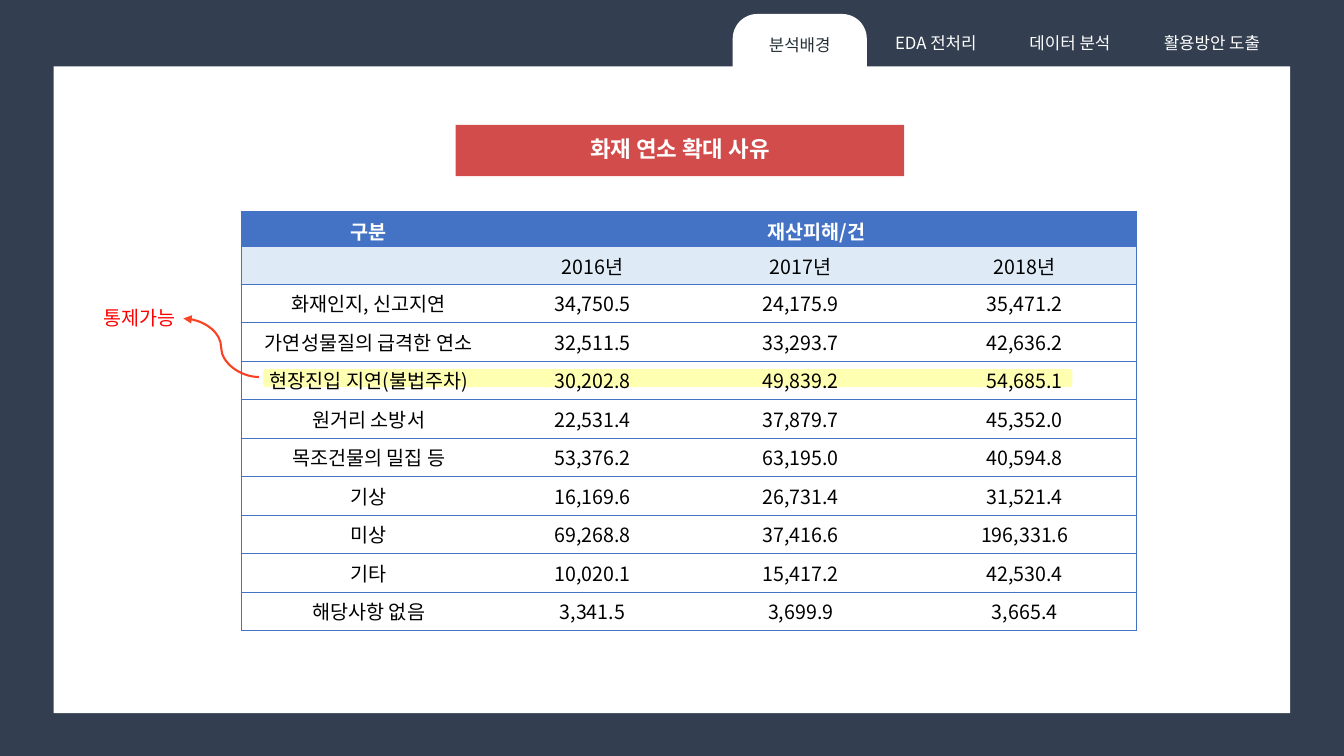
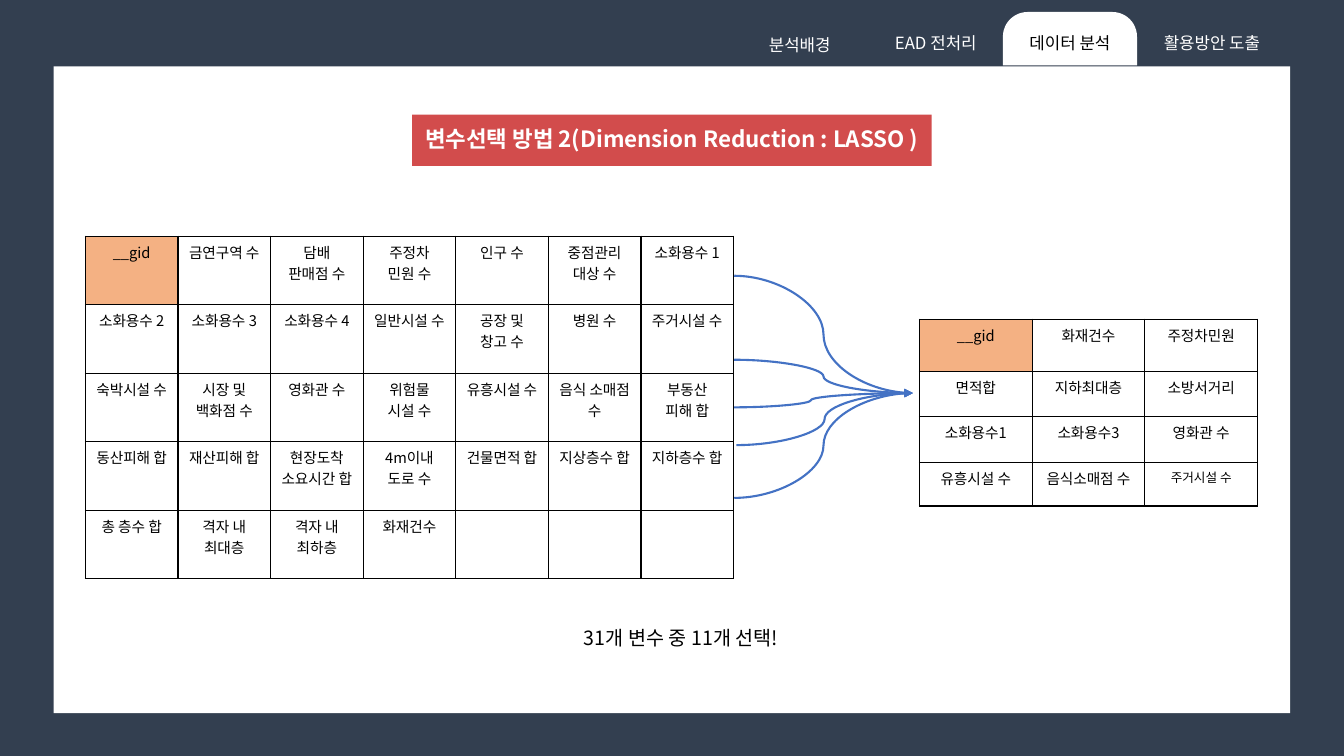
from lxml import etree
from pptx import Presentation
from pptx.dml.color import RGBColor
from pptx.enum.shapes import MSO_CONNECTOR, MSO_SHAPE
from pptx.enum.text import MSO_ANCHOR, PP_ALIGN
from pptx.oxml.ns import qn
from pptx.util import Pt

RECT = MSO_SHAPE.RECTANGLE
ROUND = MSO_SHAPE.ROUNDED_RECTANGLE
TAB = MSO_SHAPE.ROUND_2_SAME_RECTANGLE
CURVE = MSO_CONNECTOR.CURVE
CENTER, LEFT = PP_ALIGN.CENTER, PP_ALIGN.LEFT
MIDDLE = MSO_ANCHOR.MIDDLE

NO_STYLE = "{2D5ABB26-0587-4C30-8999-92F81FD0307C}"
TAB_BOXES = [(523.4, 10, 95.8), (620.6, 8.6, 95.8), (716.4, 8.6, 95.8), (811.4, 8.6, 108.7)]

CAUSES = [
    ["구분", "재산피해/건", "", ""],
    ["", "2016년", "2017년", "2018년"],
    ["화재인지, 신고지연", "34,750.5", "24,175.9", "35,471.2"],
    ["가연성물질의 급격한 연소", "32,511.5", "33,293.7", "42,636.2"],
    ["현장진입 지연(불법주차)", "30,202.8", "49,839.2", "54,685.1"],
    ["원거리 소방서", "22,531.4", "37,879.7", "45,352.0"],
    ["목조건물의 밀집 등", "53,376.2", "63,195.0", "40,594.8"],
    ["기상", "16,169.6", "26,731.4", "31,521.4"],
    ["미상", "69,268.8", "37,416.6", "196,331.6"],
    ["기타", "10,020.1", "15,417.2", "42,530.4"],
    ["해당사항 없음", "3,341.5", "3,699.9", "3,665.4"],
]
VARIABLES = [
    ["__gid", "금연구역 수", "담배\n판매점 수", "주정차\n민원 수", "인구 수", "중점관리\n대상 수", "소화용수 1"],
    ["소화용수 2", "소화용수 3", "소화용수 4", "일반시설 수", "공장 및\n창고 수", "병원 수", "주거시설 수"],
    ["숙박시설 수", "시장 및\n백화점 수", "영화관 수", "위험물\n시설 수", "유흥시설 수", "음식 소매점 수", "부동산\n피해 합"],
    ["동산피해 합", "재산피해 합", "현장도착\n소요시간 합", "4m이내\n도로 수", "건물면적 합", "지상층수 합", "지하층수 합"],
    ["총 층수 합", "격자 내\n최대층", "격자 내\n최하층", "화재건수", "", "", ""],
]
SELECTED = [
    ["__gid", "화재건수", "주정차민원"],
    ["면적합", "지하최대층", "소방서거리"],
    ["소화용수1", "소화용수3", "영화관 수"],
    ["유흥시설 수", "음식소매점 수", "주거시설 수"],
]


def rgb(hex_color):
    return RGBColor.from_string(hex_color)


class Deck:
    FONT = "Noto Sans CJK KR"
    NAVY, WHITE, BLACK = "333F50", "FFFFFF", "000000"
    BLUE, PALE, ORANGE = "4472C4", "DEEBF7", "F4B183"
    RED, YELLOW = "C00000", "FFFF00"

    def __init__(self):
        self.prs = Presentation()
        self.prs.slide_width, self.prs.slide_height = Pt(960), Pt(540)
        self.s = None

    def slide(self):
        self.s = self.prs.slides.add_slide(self.prs.slide_layouts[6])
        fill = self.s.background.fill
        fill.solid()
        fill.fore_color.rgb = rgb(self.NAVY)
        self.shape(RECT, 38.3, 47.5, 883.3, 462, self.WHITE)

    def put_text(self, tf, text, size, color, bold=False, align=CENTER, spacing=None):
        for i, line in enumerate(text.split("\n")):
            p = tf.add_paragraph() if i else tf.paragraphs[0]
            p.alignment = align
            if spacing:
                p.line_spacing = spacing
            r = p.add_run()
            r.text = line
            f = r.font
            f.name, f.size, f.bold = self.FONT, Pt(size), bold
            f.color.rgb = rgb(color)
            etree.SubElement(r._r.get_or_add_rPr(), qn("a:ea"), typeface=self.FONT)

    def shape(self, kind, x, y, w, h, fill=None, opacity=100):
        sp = self.s.shapes.add_shape(kind, Pt(x), Pt(y), Pt(w), Pt(h))
        sp.shadow.inherit = False
        sp.line.fill.background()
        if fill:
            sp.fill.solid()
            sp.fill.fore_color.rgb = rgb(fill)
            if opacity < 100:
                clr = sp._element.spPr.find(qn("a:solidFill")).find(qn("a:srgbClr"))
                etree.SubElement(clr, qn("a:alpha"), val=str(opacity * 1000))
        else:
            sp.fill.background()
        sp.text_frame.word_wrap = True
        sp.text_frame.vertical_anchor = MIDDLE
        return sp

    def title(self, text, x, y, w):
        sp = self.shape(RECT, x, y, w, 36.7, self.RED, 70)
        self.put_text(sp.text_frame, text, 16, self.WHITE, bold=True, spacing=0.9)

    def tabs(self, names, active, active_color):
        for i, (name, (x, y, w)) in enumerate(zip(names, TAB_BOXES)):
            on = i == active
            sp = self.shape(TAB, x, y, w, 38.2, self.WHITE if on else None)
            sp.adjustments[0] = 0.46
            sp.adjustments[1] = 0
            self.put_text(sp.text_frame, name, 12, active_color if on else self.WHITE)

    def text(self, text, x, y, w, color, align=CENTER):
        sp = self.s.shapes.add_textbox(Pt(x), Pt(y), Pt(w), Pt(24.5))
        sp.text_frame.word_wrap = True
        self.put_text(sp.text_frame, text, 14, color, align=align)

    def arrow(self, x1, y1, x2, y2, color, bend=0.5):
        cn = self.s.shapes.add_connector(CURVE, Pt(x1), Pt(y1), Pt(x2), Pt(y2))
        cn.line.color.rgb = rgb(color)
        cn.line.width = Pt(1.5)
        sp_pr = cn._element.spPr
        etree.SubElement(sp_pr.find(qn("a:ln")), qn("a:tailEnd"), type="triangle")
        etree.SubElement(sp_pr, qn("a:effectLst"))
        guides = sp_pr.find(qn("a:prstGeom")).find(qn("a:avLst"))
        etree.SubElement(guides, qn("a:gd"), name="adj1", fmla=f"val {round(bend * 100000)}")

    def border(self, cell, sides, color, width):
        tc_pr = cell._tc.get_or_add_tcPr()
        for side in sides:
            ln = etree.SubElement(tc_pr, qn("a:ln" + side), w=str(Pt(width)))
            fill = etree.SubElement(ln, qn("a:solidFill"))
            etree.SubElement(fill, qn("a:srgbClr"), val=color)

    def table(self, rows, x, y, widths, heights, style):
        shape = self.s.shapes.add_table(
            len(rows), len(widths), Pt(x), Pt(y), Pt(sum(widths)), Pt(sum(heights)))
        tbl = shape.table
        tbl.first_row = tbl.horz_banding = False
        tbl._tbl.tblPr.find(qn("a:tableStyleId")).text = NO_STYLE
        for col, w in zip(tbl.columns, widths):
            col.width = Pt(w)
        for i, (row, h) in enumerate(zip(rows, heights)):
            tbl.rows[i].height = Pt(h)
            for j, text in enumerate(row):
                cell = tbl.cell(i, j)
                cell.margin_bottom = Pt(1)
                look = style(i, j)
                self.border(cell, look["sides"], look["line"], look["width"])
                if look["fill"]:
                    cell.fill.solid()
                    cell.fill.fore_color.rgb = rgb(look["fill"])
                else:
                    cell.fill.background()
                if text:
                    self.put_text(cell.text_frame, text, look["size"], look["color"], look["bold"])
        return tbl

    def cause_style(self, i, j):
        sides = ["L"] * (j == 0) + ["R"] * (j == 3) + ["T", "B"]
        head = i == 0
        return dict(sides=sides, line=self.BLUE, width=0.5, size=14, bold=head,
                    fill={0: self.BLUE, 1: self.PALE}.get(i),
                    color=self.WHITE if head else self.BLACK)

    def grid_style(self, i, j):
        return dict(sides="LRTB", line=self.BLACK, width=1, size=10.5, bold=False,
                    fill=self.ORANGE if i == j == 0 else None, color=self.BLACK)

    def selected_style(self, i, j):
        look = self.grid_style(i, j)
        if (i, j) == (3, 2):
            look["size"] = 9
        return look


def fire_causes(d):
    d.slide()
    d.shape(ROUND, 188, 263.5, 578, 13, d.YELLOW, 30)
    d.text("통제가능", 67, 215.3, 72, "FF0000", LEFT)
    d.arrow(185, 269.3, 131, 227.5, "FA4324")
    d.title("화재 연소 확대 사유", 325.5, 89.2, 320.4)
    tbl = d.table(CAUSES, 172.4, 151, [182, 137.6, 160, 160],
                  [25, 26.8] + [27.5] * 9, d.cause_style)
    tbl.cell(0, 1).merge(tbl.cell(0, 3))
    d.tabs(["분석배경", "EDA 전처리", "데이터 분석", "활용방안 도출"], 0, "263238")


def variable_selection(d):
    d.slide()
    d.table(SELECTED, 656.8, 228, [80.5] * 3, [37.5, 32, 33, 31], d.selected_style)
    for x, y, bend in [(524.5, 197, 0.5), (524.5, 257, 0.5), (524.5, 291, 0.43),
                       (526, 318, 0.5), (524.5, 355.7, 0.5)]:
        d.arrow(x, y, 652, 280.8, d.BLUE, bend)
    d.text("31개 변수 중 11개 선택!", 147.6, 443.5, 677.5, d.BLACK)
    d.tabs(["분석배경", "EAD 전처리", "데이터 분석", "활용방안 도출"], 2, d.BLACK)
    d.table(VARIABLES, 61, 168.8, [66.15] * 7, [48.9] * 5, d.grid_style)
    d.title("변수선택 방법 2(Dimension Reduction : LASSO )", 294.5, 81.8, 371)


def main():
    d = Deck()
    fire_causes(d)
    variable_selection(d)
    d.prs.save("out.pptx")


if __name__ == "__main__":
    main()
